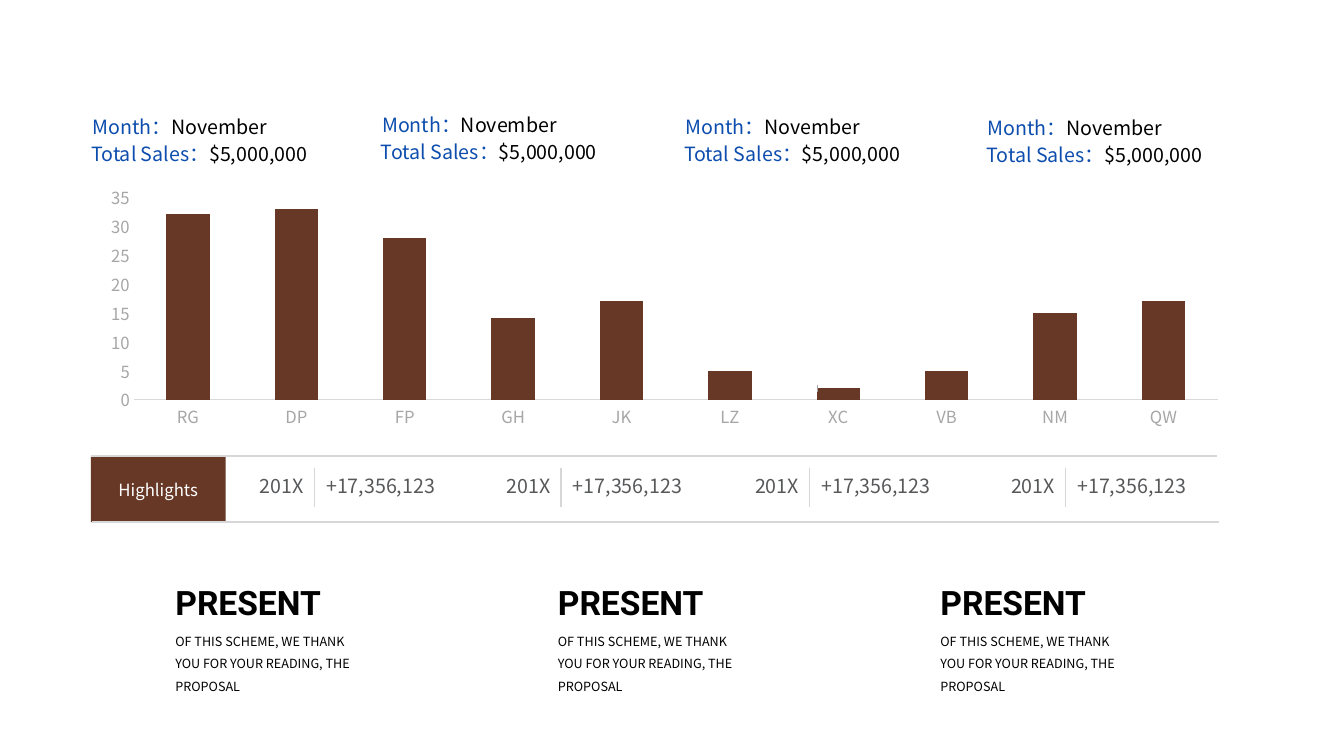
from dataclasses import dataclass

from lxml.etree import SubElement
from pptx import Presentation
from pptx.chart.data import CategoryChartData as ChartData
from pptx.dml.color import RGBColor as Rgb
from pptx.enum.chart import XL_CHART_TYPE as Kind, XL_TICK_MARK as Tick
from pptx.enum.shapes import MSO_CONNECTOR as Link, MSO_SHAPE as Form
from pptx.enum.text import MSO_ANCHOR as Anchor, MSO_AUTO_SIZE as Fit, PP_ALIGN as Align
from pptx.oxml import parse_xml
from pptx.oxml.ns import nsdecls, qn
from pptx.util import Cm, Pt


@dataclass(frozen=True)
class Theme:
    sans: str = "Noto Sans CJK SC"
    bold: str = "Roboto"
    black: str = "000000"
    white: str = "FFFFFF"
    blue: str = "0C4DAD"
    brown: str = "663825"
    slate: str = "57585A"
    label: str = "A6A6A6"
    axis: str = "D9D9D9"
    rule: str = "D7D7D9"
    title: float = 24
    body: float = 14
    tag: float = 12
    tick: float = 11.9
    note: float = 9


@dataclass(frozen=True)
class Sale:
    left: float
    top: float
    month: str = "November"
    total: str = "$5,000,000"


@dataclass(frozen=True)
class Gain:
    left: float
    year: str = "201X"
    value: str = "+17,356,123"


@dataclass(frozen=True)
class Note:
    left: float
    title: str = "PRESENT"
    body: str = "OF THIS SCHEME, WE THANK YOU FOR YOUR READING, THE PROPOSAL"


THEME = Theme()
SALES = [Sale(2.08, 2.77), Sale(9.38, 2.73), Sale(17.02, 2.78), Sale(24.64, 2.8)]
GAINS = [Gain(left) for left in (6.3, 12.52, 18.78, 25.23)]
NOTES = [Note(4.17 + 9.64 * col) for col in range(3)]
BARS = {"RG": 32, "DP": 33, "FP": 28, "GH": 14, "JK": 17,
        "LZ": 5, "XC": 2, "VB": 5, "NM": 15, "QW": 17}


def write(frame, *parts: tuple[str, str], size: float = THEME.body, face: str = THEME.sans,
          bold: bool = False, align: Align = Align.LEFT, space: float = 1.0) -> None:
    para = frame.paragraphs[0]
    para.alignment = align
    para.line_spacing = space
    for text, color in parts:
        run = para.add_run()
        run.text = text
        run.font.size = Pt(size)
        run.font.bold = bold
        run.font.color.rgb = Rgb.from_string(color)
        run.font.name = face
        SubElement(run.font._element, qn("a:ea"), typeface=face)


def add_text(slide, left: float, top: float, width: float, height: float,
             *parts: tuple[str, str], wrap: bool = True, **style) -> None:
    frame = slide.shapes.add_textbox(Cm(left), Cm(top), Cm(width), Cm(height)).text_frame
    frame.word_wrap = wrap
    frame.auto_size = Fit.SHAPE_TO_FIT_TEXT
    write(frame, *parts, **style)


def add_line(slide, left: float, top: float, right: float, low: float,
             color: str = THEME.rule, width: float = 1) -> None:
    line = slide.shapes.add_connector(Link.STRAIGHT, Cm(left), Cm(top), Cm(right), Cm(low))
    line.line.color.rgb = Rgb.from_string(color)
    line.line.width = Pt(width)
    SubElement(line._element.spPr, qn("a:effectLst"))


def add_bars(slide) -> None:
    data = ChartData()
    data.categories = list(BARS)
    data.add_series("Series 1", list(BARS.values()))
    chart = slide.shapes.add_chart(Kind.COLUMN_CLUSTERED, Cm(2.21), Cm(4.52),
                                   Cm(29.06), Cm(6.38), data).chart
    chart.has_legend = False
    chart.has_title = False
    chart.font.name = THEME.sans
    chart.font.size = Pt(10)
    chart.font.color.rgb = Rgb.from_string(THEME.black)
    for axis in (chart.category_axis, chart.value_axis):
        axis.has_major_gridlines = False
        axis.major_tick_mark = axis.minor_tick_mark = Tick.NONE
        font = axis.tick_labels.font
        font.name = THEME.sans
        font.size = Pt(THEME.tick)
        font.color.rgb = Rgb.from_string(THEME.label)
    base = chart.category_axis.format.line
    base.color.rgb = Rgb.from_string(THEME.axis)
    base.width = Pt(0.75)
    scale = chart.value_axis
    scale.minimum_scale, scale.maximum_scale, scale.major_unit = 0, 35, 5
    scale.format.line.fill.background()
    plot = chart.plots[0]
    plot.gap_width = 150
    plot.vary_by_categories = False
    fill = plot.series[0].format.fill
    fill.solid()
    fill.fore_color.rgb = Rgb.from_string(THEME.brown)
    area = chart._chartSpace.chart.plotArea
    for old in area.findall(qn("c:layout")):
        area.remove(old)
    area.insert(0, parse_xml(
        f'<c:layout {nsdecls("c")}><c:manualLayout><c:layoutTarget val="inner"/>'
        '<c:xMode val="edge"/><c:yMode val="edge"/><c:x val="0.04"/><c:y val="0.07"/>'
        '<c:w val="0.94"/><c:h val="0.8"/></c:manualLayout></c:layout>'))


def add_sale(slide, sale: Sale) -> None:
    add_text(slide, sale.left, sale.top, 5.23, 0.86,
             ("Month：", THEME.blue), (sale.month, THEME.black))
    add_text(slide, sale.left - 0.03, sale.top + 0.67, 7.32, 0.86,
             ("Total Sales：", THEME.blue), (sale.total, THEME.black))


def add_gain(slide, gain: Gain) -> None:
    split = gain.left + 1.62
    add_text(slide, gain.left, 11.81, 2.03, 0.86, (gain.year, THEME.slate))
    add_line(slide, split, 11.79, split, 12.78)
    add_text(slide, split + 0.05, 11.81, 3.38, 0.86, (gain.value, THEME.slate))


def add_note(slide, note: Note) -> None:
    add_text(slide, note.left, 14.53, 4.55, 1.27, (note.title, THEME.black),
             wrap=False, size=THEME.title, face=THEME.bold, bold=True)
    add_text(slide, note.left, 15.65, 5.36, 1.42, (note.body, THEME.black),
             size=THEME.note, space=1.5)


def add_tag(slide) -> None:
    tag = slide.shapes.add_shape(Form.RECTANGLE, Cm(2.29), Cm(11.51), Cm(3.4), Cm(1.65))
    tag.shadow.inherit = False
    tag.fill.solid()
    tag.fill.fore_color.rgb = Rgb.from_string(THEME.brown)
    tag.line.fill.background()
    tag.text_frame.vertical_anchor = Anchor.MIDDLE
    write(tag.text_frame, ("Highlights", THEME.white), size=THEME.tag, align=Align.CENTER)


def main() -> None:
    deck = Presentation()
    deck.slide_width, deck.slide_height = Cm(33.87), Cm(19.05)
    slide = deck.slides.add_slide(deck.slide_layouts[6])
    add_bars(slide)
    for sale in SALES:
        add_sale(slide, sale)
    add_line(slide, 20.6, 9.7, 20.6, 9.88, color=THEME.label, width=0.5)
    add_tag(slide)
    for gain in GAINS:
        add_gain(slide, gain)
    add_line(slide, 2.29, 11.48, 30.66, 11.48, width=1.5)
    add_line(slide, 2.31, 13.16, 30.71, 13.16, width=1.5)
    for note in NOTES:
        add_note(slide, note)
    deck.save("out.pptx")


if __name__ == "__main__":
    main()
